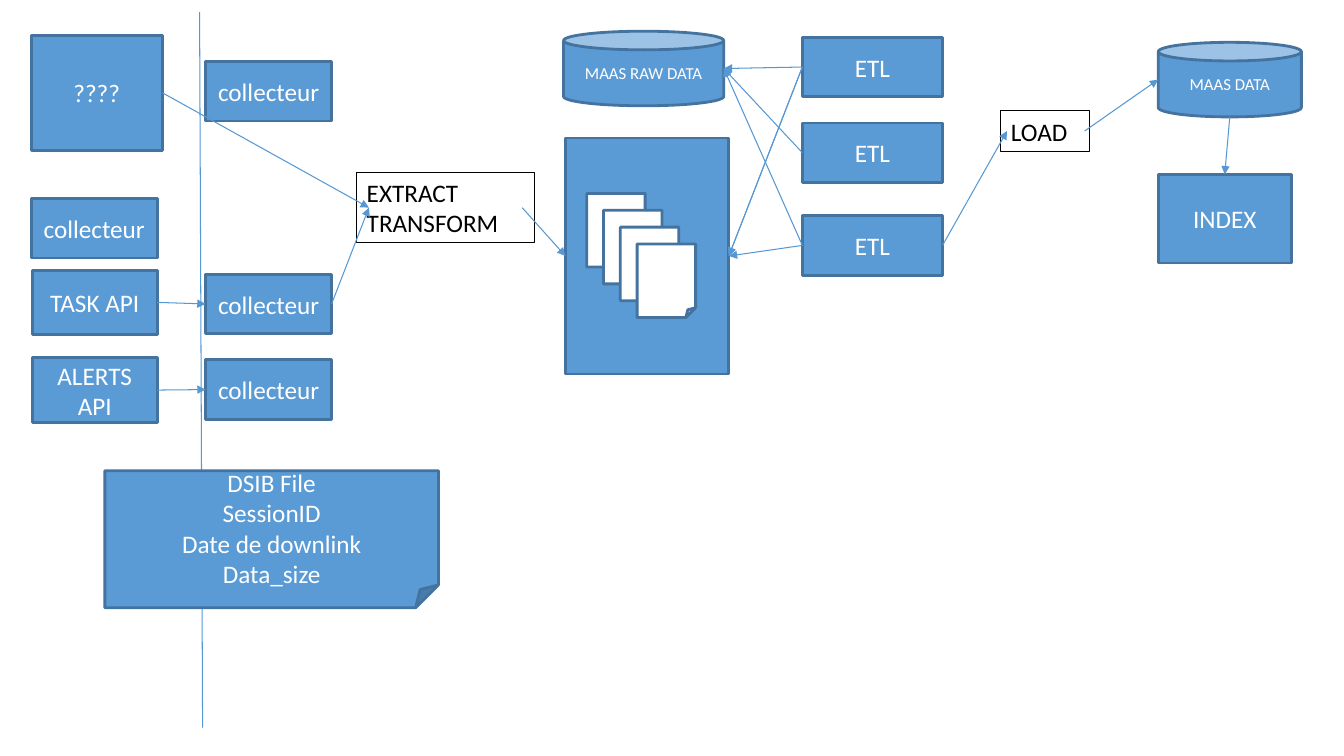
import pptx
import pptx.util
import pptx.dml.color
import pptx.enum.shapes
import pptx.enum.text
import pptx.oxml.ns
import lxml.etree

COLORS = {"blue": "5B9BD5", "edge": "43739E", "arrow": "5698D3",
          "white": "FFFFFF", "black": "000000"}
FONT = "Calibri"
CELL = pptx.util.Inches(0.1)  # one grid column or row
COLUMNS, ROWS = 133.33, 75
PRESET = pptx.enum.shapes.MSO_SHAPE
STRAIGHT = pptx.enum.shapes.MSO_CONNECTOR.STRAIGHT
ALIGN = pptx.enum.text.PP_ALIGN
ANCHOR = pptx.enum.text.MSO_ANCHOR
# side: share of width, share of height, connection site of a rectangle
SIDES = {"top": (0.5, 0, 0), "left": (0, 0.5, 1),
         "bottom": (0.5, 1, 2), "right": (1, 0.5, 3)}


def grid(cells):
    return round(cells * CELL)


def rgb(name):
    return pptx.dml.color.RGBColor.from_string(COLORS[name])


class Diagram:
    def __init__(self, slide):
        self.slide = slide

    def box(self, place, text="", preset=PRESET.RECTANGLE, size=18, fill="blue",
            edge="edge", weight=2, ink="white", align=ALIGN.CENTER, anchor=ANCHOR.MIDDLE):
        shape = self.slide.shapes.add_shape(preset, *map(grid, place))
        shape.shadow.inherit = False
        if fill:
            shape.fill.solid()
            shape.fill.fore_color.rgb = rgb(fill)
        else:
            shape.fill.background()
        shape.line.color.rgb = rgb(edge)
        shape.line.width = pptx.util.Pt(weight)
        if text:
            frame = shape.text_frame
            frame.word_wrap = True
            frame.vertical_anchor = anchor
            frame.text = text
            for paragraph in frame.paragraphs:
                paragraph.alignment = align
                paragraph.font.name = FONT
                paragraph.font.size = pptx.util.Pt(size)
                paragraph.font.color.rgb = rgb(ink)
        return shape

    def label(self, place, text):
        return self.box(place, text, fill=None, edge="black", weight=0.75,
                        ink="black", align=ALIGN.LEFT, anchor=ANCHOR.TOP)

    def line(self, start, end):
        connector = self.slide.shapes.add_connector(STRAIGHT, *start, *end)
        connector.line.color.rgb = rgb("arrow")
        connector.line.width = pptx.util.Pt(0.75)
        properties = connector._element.spPr
        lxml.etree.SubElement(properties, pptx.oxml.ns.qn("a:effectLst"))
        return connector

    def port(self, shape, side, inset=0):
        across, down, _ = SIDES[side]
        shift = grid(inset) * {"left": 1, "right": -1}.get(side, 0)
        return (round(shape.left + across * shape.width) + shift,
                round(shape.top + down * shape.height))

    def arrow(self, source, target, leave="right", enter="left", inset_out=0, inset_in=0):
        connector = self.line(self.port(source, leave, inset_out),
                              self.port(target, enter, inset_in))
        rectangle = PRESET.RECTANGLE
        if source.auto_shape_type == rectangle and not inset_out:
            connector.begin_connect(source, SIDES[leave][2])
        if target.auto_shape_type == rectangle and not inset_in:
            connector.end_connect(target, SIDES[enter][2])
        lxml.etree.SubElement(connector.line._get_or_add_ln(),
                              pptx.oxml.ns.qn("a:tailEnd"), type="triangle")


presentation = pptx.Presentation()
presentation.slide_width = grid(COLUMNS)
presentation.slide_height = grid(ROWS)
diagram = Diagram(presentation.slides.add_slide(presentation.slide_layouts[6]))

# Collectors and sources
top_collector, left_collector, task_collector, alert_collector = [
    diagram.box((left, top, 12.5, 5.9), "collecteur")
    for left, top in ((20.4, 6.1), (3.1, 19.7), (20.4, 27.2), (20.4, 35.7))]
task_api, alert_api = [
    diagram.box((3.2, top, 12.4, 6.4), text)
    for top, text in ((26.8, "TASK API"), (35.5, "ALERTS API"))]
unknown_source = diagram.box((3.1, 3.5, 13, 11.4), "????")

# Boundary between sources and collectors
diagram.line((grid(19.8), grid(1.2)), (grid(20.1), grid(72.2)))

# Stores, ETL jobs and index
raw_data = diagram.box((55.9, 3.1, 15.9, 7.4), "MAAS RAW DATA", PRESET.CAN, 12)
maas_data = diagram.box((114.9, 4.2, 14.2, 7.4), "MAAS DATA", PRESET.CAN, 12)
etl_jobs = [diagram.box((79.6, top, 13.9, 5.9), "ETL") for top in (3.7, 12.2, 21.4)]
index = diagram.box((114.9, 17.3, 13.2, 8.8), "INDEX")

# Folder with its stack of files
folder = diagram.box((56.1, 13.7, 16.2, 23.4))
for step in range(4):
    diagram.box((58.2 + step * 1.67, 19.2 + step * 1.67, 5.8, 7.3),
                preset=PRESET.FOLDED_CORNER, fill="white")

# File description
diagram.box((10.4, 46.7, 33.1, 13.6),
            "DSIB File\nSessionID\nDate de downlink\nData_size", PRESET.FOLDED_CORNER)

# Steps
extract = diagram.label((35.4, 17.1, 17.6, 7), "EXTRACT\nTRANSFORM")
load = diagram.label((99.3, 11, 8.8, 4), "LOAD")

# Flow from sources to folder
diagram.arrow(task_api, task_collector)
diagram.arrow(alert_api, alert_collector)
for source in (task_collector, unknown_source):
    diagram.arrow(source, extract, inset_in=1.2)
diagram.arrow(extract, folder, inset_out=1.2)

# Flow between ETL jobs, folder and raw data
first, second, third = etl_jobs
for job, store in ((first, folder), (first, folder), (third, folder),
                   (third, raw_data), (first, raw_data), (second, raw_data)):
    diagram.arrow(job, store, "left", "right")

# Flow to final data and index
diagram.arrow(third, load, inset_in=0.6)
diagram.arrow(load, maas_data, inset_out=0.5)
diagram.arrow(maas_data, index, "bottom", "top")

presentation.save("out.pptx")
